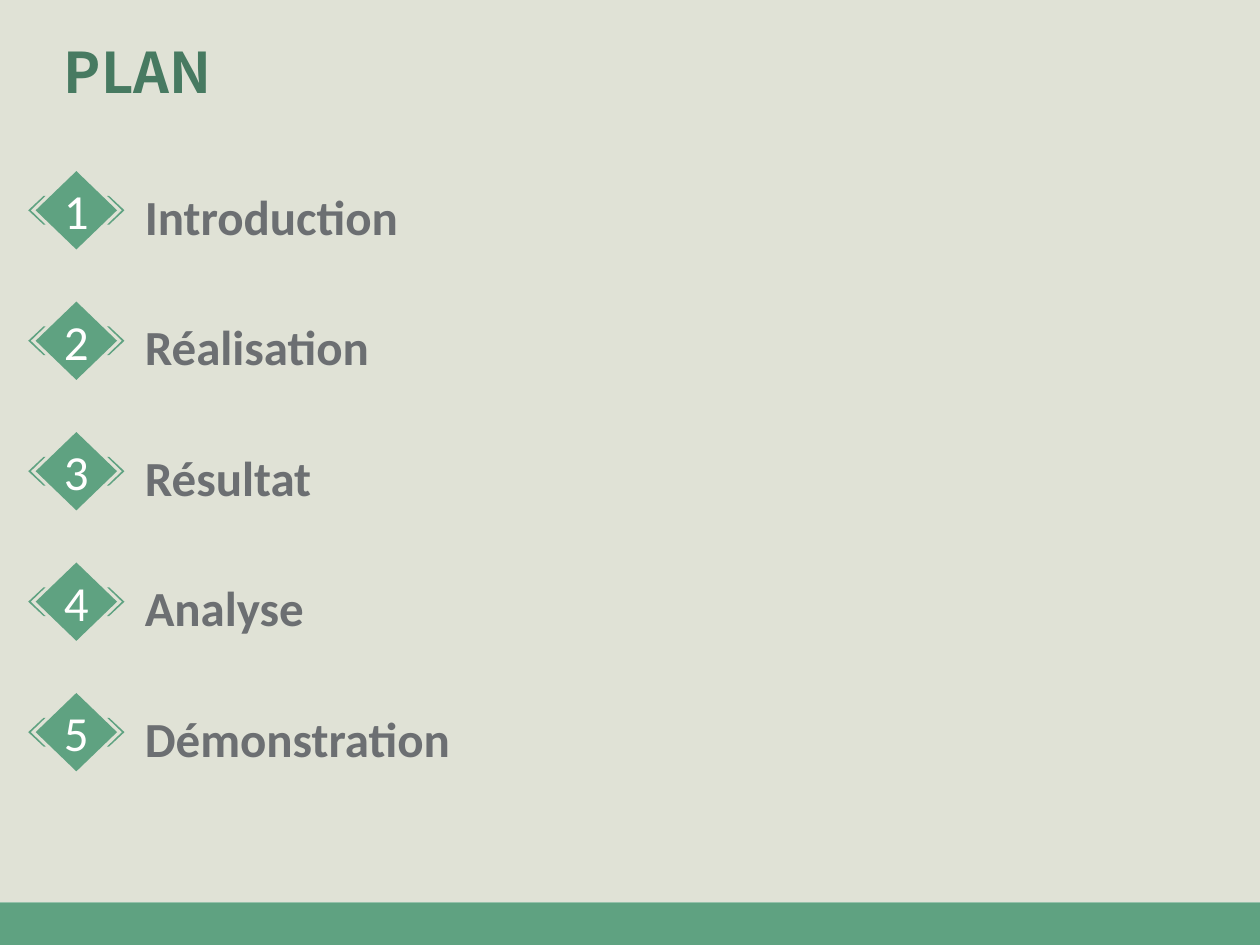
from dataclasses import dataclass

from pptx import Presentation
from pptx.dml.color import RGBColor
from pptx.enum.shapes import MSO_SHAPE
from pptx.enum.text import MSO_ANCHOR, PP_ALIGN
from pptx.util import Cm, Pt


@dataclass(frozen=True)
class Theme:
    sand: str = "E0E2D6"
    green: str = "5FA281"
    dark: str = "477A61"
    grey: str = "6C6F72"
    white: str = "FFFFFF"
    head: int = 32
    body: int = 28
    title: str = "Noto Sans CJK SC"
    font: str = "Calibri"


theme = Theme()


def paint(shape, color):
    shape.shadow.inherit = False
    shape.fill.solid()
    shape.fill.fore_color.rgb = RGBColor.from_string(color)
    shape.line.fill.background()


def write(shape, text, face, size, color, bold=False, inset=0, align=PP_ALIGN.LEFT, gap=1.0):
    frame = shape.text_frame
    frame.word_wrap = True
    frame.vertical_anchor = MSO_ANCHOR.MIDDLE
    frame.margin_left = frame.margin_right = Cm(inset)
    frame.margin_top = frame.margin_bottom = Cm(inset / 2)
    para = frame.paragraphs[0]
    para.alignment = align
    para.line_spacing = gap
    run = para.add_run()
    run.text = text
    run.font.name = face
    run.font.size = Pt(size)
    run.font.bold = bold
    run.font.color.rgb = RGBColor.from_string(color)


deck = Presentation()
deck.slide_width, deck.slide_height = Cm(25.4), Cm(19.05)
slide = deck.slides.add_slide(deck.slide_layouts[6])

# Background panel and footer band
split = 18.19
for top, high, color in ((0, split, theme.sand), (split, 19.05 - split, theme.green)):
    band = slide.shapes.add_shape(MSO_SHAPE.RECTANGLE, 0, Cm(top), Cm(25.4), Cm(high))
    paint(band, color)

# Title
title = slide.shapes.add_textbox(Cm(1.04), Cm(0.51), Cm(23.44), Cm(2))
write(title, "PLAN", theme.title, theme.head, theme.dark, bold=True, inset=0.25, gap=0.9)

# Badge outline around its centre, in hundredths of a centimetre
wide, tall = 82, 79
wing = ((62, -29), (66, -29), (97, 0), (66, 29), (62, 29), (92, 0))

# Agenda rows: numbered badge and label
first, pitch = 3.45, 2.63
items = ("Introduction", "Réalisation", "Résultat", "Analyse", "Démonstration")
for row, name in enumerate(items):
    top = first + row * pitch
    group = slide.shapes.add_group_shape()

    pen = group.shapes.build_freeform(0, -tall, scale=Cm(0.01))
    pen.add_line_segments(((wide, 0), (0, tall), (-wide, 0)))
    for side in (1, -1):
        points = [(side * x, y) for x, y in wing]
        pen.move_to(*points[0])
        pen.add_line_segments(points[1:])
    badge = pen.convert_to_shape(Cm(1.54), Cm(top + tall / 100))
    paint(badge, theme.green)
    write(badge, str(row + 1), theme.font, theme.body, theme.white, align=PP_ALIGN.CENTER)

    label = group.shapes.add_textbox(Cm(2.92), Cm(top + 0.03), Cm(8.03), Cm(1.5))
    write(label, name, theme.font, theme.body, theme.grey, bold=True, gap=1.2)

deck.save("out.pptx")
